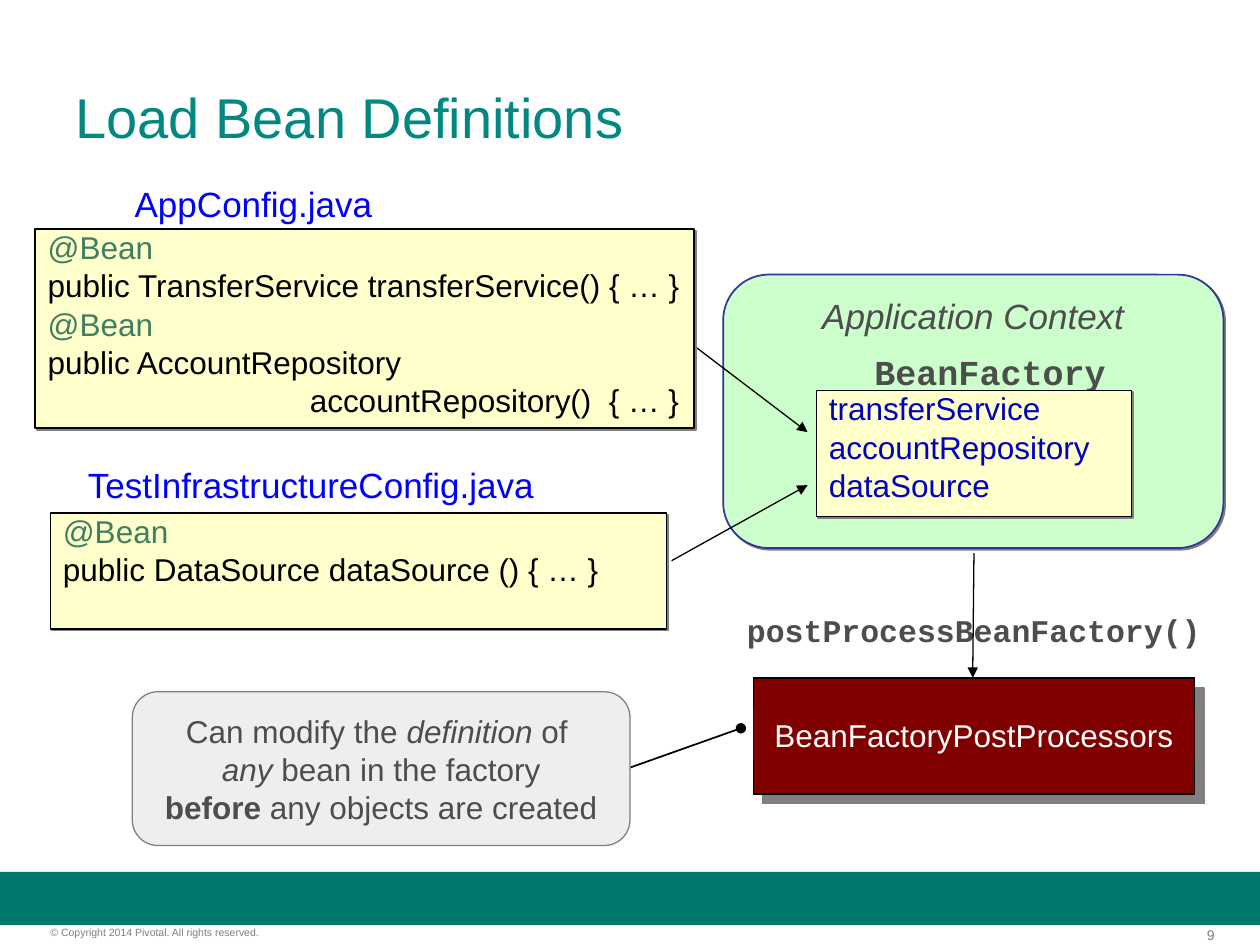
from lxml.etree import SubElement
from pptx import Presentation
from pptx.dml.color import RGBColor
from pptx.enum.shapes import MSO_CONNECTOR, MSO_SHAPE
from pptx.enum.text import MSO_ANCHOR, PP_ALIGN
from pptx.oxml.ns import qn
from pptx.util import Inches, Pt

BLACK, GRAY, TEXT_GRAY = "000000", "808080", "4D4D4D"
NOTE_YELLOW, ANNOTATION, FILE_BLUE = "FFFFCC", "3F7F5F", "0000FF"


def rgb(value):
    return RGBColor.from_string(value)


def set_text(shape, lines, size, color, font="Arial", align=PP_ALIGN.LEFT,
             anchor=MSO_ANCHOR.TOP, wrap=True):
    """Write lines, each a list of (text, style); style is "", "bold" or "italic"."""
    frame = shape.text_frame
    frame.word_wrap = wrap
    frame.vertical_anchor = anchor
    for index, line in enumerate(lines):
        paragraph = frame.paragraphs[0] if index == 0 else frame.add_paragraph()
        paragraph.alignment = align
        for text, style in line:
            run = paragraph.add_run()
            run.text = text
            run.font.name = font
            run.font.size = Pt(size)
            run.font.color.rgb = rgb(color)
            run.font.bold = style == "bold"
            run.font.italic = style == "italic"


def add_label(slide, box, text, size, color, style="", margin=None, **options):
    label = slide.shapes.add_textbox(*map(Inches, box))
    if margin is not None:
        frame = label.text_frame
        frame.margin_left = frame.margin_right = Inches(margin)
        if margin == 0:
            frame.margin_top = frame.margin_bottom = 0
    set_text(label, [[(text, style)]], size, color, **options)


def add_shadow(shape, distance):
    effects = shape._element.spPr.find(qn("a:effectLst"))
    shadow = SubElement(effects, qn("a:outerShdw"), dist=str(Pt(distance)),
                        dir="2700000", algn="ctr", rotWithShape="0")
    SubElement(shadow, qn("a:srgbClr"), val=GRAY)


def add_panel(shapes, box, fill, line=None, width=1, shadow=0, rounded=False):
    kind = MSO_SHAPE.ROUNDED_RECTANGLE if rounded else MSO_SHAPE.RECTANGLE
    panel = shapes.add_shape(kind, *map(Inches, box))
    panel.shadow.inherit = False
    panel.fill.solid()
    panel.fill.fore_color.rgb = rgb(fill)
    if line:
        panel.line.color.rgb = rgb(line)
        panel.line.width = Pt(width)
    else:
        panel.line.fill.background()
    if shadow:
        add_shadow(panel, shadow)
    return panel


def add_arrow(slide, start, end, width=0.75, tip="triangle"):
    arrow = slide.shapes.add_connector(
        MSO_CONNECTOR.STRAIGHT, *map(Inches, start + end))
    arrow.line.color.rgb = rgb(BLACK)
    arrow.line.width = Pt(width)
    SubElement(arrow.line._get_or_add_ln(), qn("a:tailEnd"), type=tip)
    SubElement(arrow._element.spPr, qn("a:effectLst"))


def add_code_box(slide, box, lines, color=BLACK):
    panel = add_panel(slide.shapes, box, NOTE_YELLOW, BLACK, shadow=1.4)
    set_text(panel, [[(line, "")] for line in lines], 18, color)
    for index, paragraph in enumerate(panel.text_frame.paragraphs):
        paragraph.line_spacing = 0.8
        if index:
            paragraph.space_before = Pt(4.5)
        properties = paragraph._p.get_or_add_pPr()
        properties.set("marL", str(Inches(0.37)))
        properties.set("indent", str(Inches(-0.37)))
        if paragraph.text.startswith("@"):
            paragraph.runs[0].font.color.rgb = rgb(ANNOTATION)


def add_footer(slide, left, top, width):
    add_panel(slide.shapes, (left, top, width, 0.42), "00786E")
    add_label(slide, (left + 9.06, top + 0.43, 0.58, 0.13), "9", 8, "7F7F7F",
              margin=0, align=PP_ALIGN.RIGHT)
    add_label(slide, (left + 0.4, top + 0.43, 2.49, 0.1),
              "© Copyright 2014 Pivotal. All rights reserved.", 6, "7F7F7F", margin=0)


def add_application_context(slide, left, top, width, height):
    context = add_panel(slide.shapes, (left, top, width, height), "CCFFCC",
                        "333399", shadow=1.4, rounded=True)
    set_text(context, [[("Application Context", "italic")]], 20, TEXT_GRAY,
             align=PP_ALIGN.CENTER)
    add_label(slide, (left + 1.08, top + 0.55, 2.2, 0.44), "BeanFactory", 20,
              TEXT_GRAY, "bold", margin=0.12, font="Courier New")
    add_code_box(slide, (left + 0.74, top + 0.92, 2.5, 1),
                 ["transferService", "accountRepository", "dataSource"], "0000C0")


def add_post_processors(slide, left, top, width, height):
    group = slide.shapes.add_group_shape()
    add_panel(group.shapes, (left, top, width, height), "800000", BLACK, shadow=8)
    caption = add_panel(group.shapes, (left, top + 0.25, width, 0.4), "800000")
    set_text(caption, [[("BeanFactoryPostProcessors", "")]], 18, "FFFFFF",
             align=PP_ALIGN.CENTER)
    add_label(slide, (left - 0.15, top - 0.58, 3.8, 0.4), "postProcessBeanFactory()",
              18, TEXT_GRAY, "bold", font="Courier New", wrap=False)


def add_callout(slide, left, top, width, height):
    callout = add_panel(slide.shapes, (left, top, width, height), "EEEEEE", GRAY,
                        width=0, rounded=True)
    lines = [
        [("Can modify the ", ""), ("definition", "italic"), (" of ", "")],
        [("any", "italic"), (" bean in the factory", "")],
        [("before", "bold"), (" any objects are created", "")],
    ]
    set_text(callout, lines, 18, TEXT_GRAY, align=PP_ALIGN.CENTER,
             anchor=MSO_ANCHOR.MIDDLE, wrap=False)


def main():
    presentation = Presentation()
    presentation.slide_width = Inches(10)
    presentation.slide_height = Inches(7.5)
    slide = presentation.slides.add_slide(presentation.slide_layouts[6])

    add_footer(slide, 0, 6.92, 10)
    add_label(slide, (0.5, 0.3, 9, 1.25), "Load Bean Definitions", 32, "008881",
              anchor=MSO_ANCHOR.MIDDLE)
    add_application_context(slide, 5.74, 2.18, 3.97, 2.17)
    add_arrow(slide, (5.33, 4.45), (6.41, 3.85))
    add_arrow(slide, (4.99, 2.35), (6.41, 3.43))

    add_label(slide, (0.97, 1.4, 2.39, 0.44), "AppConfig.java", 20, FILE_BLUE,
              wrap=False)
    add_code_box(slide, (0.28, 1.82, 5.23, 1.58), [
        "@Bean",
        "public TransferService transferService() { … }",
        "@Bean",
        "public AccountRepository",
        "                              accountRepository()  { … }",
    ])
    add_label(slide, (0.6, 3.63, 4.13, 0.44), "TestInfrastructureConfig.java", 20,
              FILE_BLUE, wrap=False)
    add_code_box(slide, (0.4, 4.07, 4.89, 0.92),
                 ["@Bean", "public DataSource dataSource () { … }"])

    add_post_processors(slide, 5.98, 5.38, 3.5, 0.92)
    add_arrow(slide, (7.73, 4.39), (7.72, 5.38))
    add_arrow(slide, (4.95, 6.11), (5.88, 5.78), width=1, tip="oval")
    add_callout(slide, 1.05, 5.49, 3.95, 1.22)
    presentation.save("out.pptx")


if __name__ == "__main__":
    main()
